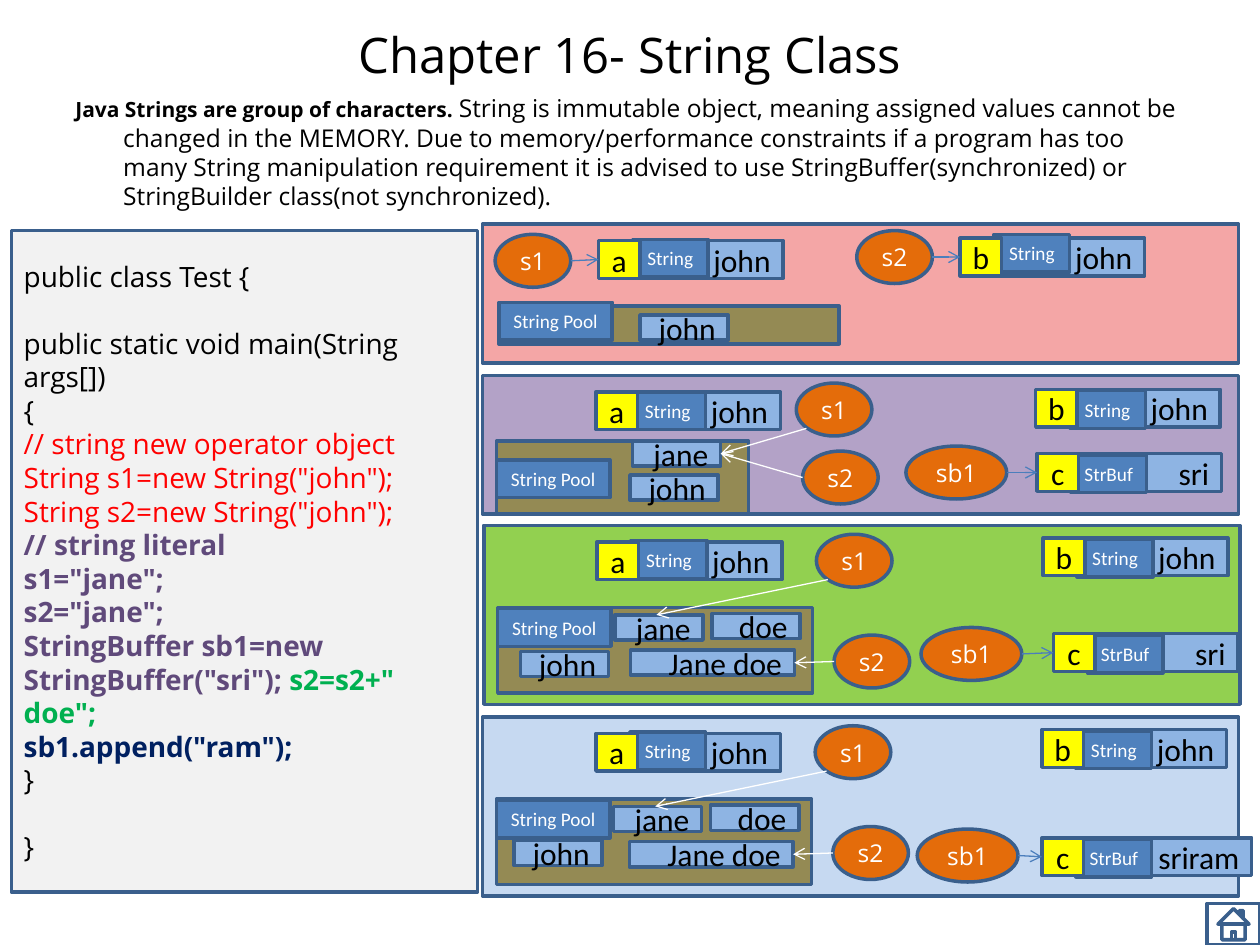
from lxml import etree
from pptx import Presentation
from pptx.dml.color import RGBColor
from pptx.enum.shapes import MSO_CONNECTOR, MSO_SHAPE
from pptx.enum.text import MSO_ANCHOR, PP_ALIGN
from pptx.oxml.ns import qn
from pptx.util import Inches, Pt

RECTANGLE, OVAL, HOME = MSO_SHAPE.RECTANGLE, MSO_SHAPE.OVAL, MSO_SHAPE.ACTION_BUTTON_HOME
STRAIGHT = MSO_CONNECTOR.STRAIGHT
LEFT, CENTER, RIGHT = PP_ALIGN.LEFT, PP_ALIGN.CENTER, PP_ALIGN.RIGHT
TOP, MIDDLE = MSO_ANCHOR.TOP, MSO_ANCHOR.MIDDLE

BLACK = RGBColor(0x00, 0x00, 0x00)
WHITE = RGBColor(0xFF, 0xFF, 0xFF)
OUTLINE = RGBColor(0x3A, 0x5F, 0x8C)
ARROW_BLUE = RGBColor(0x4B, 0x7E, 0xBC)
TYPE_BLUE = RGBColor(0x4F, 0x81, 0xBD)
VALUE_BLUE = RGBColor(0x8E, 0xB4, 0xE3)
YELLOW = RGBColor(0xFF, 0xFF, 0x00)
ORANGE = RGBColor(0xE4, 0x6C, 0x0A)
OLIVE = RGBColor(0x94, 0x8A, 0x54)
CODE_GRAY = RGBColor(0xF2, 0xF2, 0xF2)
PINK = RGBColor(0xF4, 0xA6, 0xA6)
LILAC = RGBColor(0xB3, 0xA2, 0xC7)
LIME = RGBColor(0x92, 0xD0, 0x50)
PALE_BLUE = RGBColor(0xC6, 0xD9, 0xF1)
RED = RGBColor(0xFF, 0x00, 0x00)
PURPLE = RGBColor(0x60, 0x4A, 0x7B)
GREEN = RGBColor(0x00, 0xB0, 0x50)
NAVY = RGBColor(0x00, 0x20, 0x60)

HEADING_FONT, LABEL_FONT = "Open Sans", "Calibri"
COLUMNS, ROWS = 100, 75


class MemoryDiagram:
    """Draws on one slide; lengths are columns and rows of a 100 x 75 grid."""

    def __init__(self, presentation):
        self.slide = presentation.slides.add_slide(presentation.slide_layouts[6])
        self.column = presentation.slide_width / COLUMNS
        self.row = presentation.slide_height / ROWS

    def place(self, *lengths):
        units = (self.column, self.row) * 2
        return [round(length * unit) for length, unit in zip(lengths, units)]

    def add_runs(self, paragraph, runs, font=HEADING_FONT):
        for text, size, color, bold in runs:
            run = paragraph.add_run()
            run.text = text
            run.font.name, run.font.size = font, Pt(size)
            run.font.color.rgb, run.font.bold = color, bold

    def text(self, left, top, width, height, runs, align=LEFT, anchor=TOP):
        box = self.slide.shapes.add_textbox(*self.place(left, top, width, height))
        box.text_frame.word_wrap = True
        box.text_frame.vertical_anchor = anchor
        paragraph = box.text_frame.paragraphs[0]
        paragraph.alignment = align
        self.add_runs(paragraph, runs)
        return paragraph

    def shape(self, left, top, width, height, fill=None, kind=RECTANGLE):
        shape = self.slide.shapes.add_shape(kind, *self.place(left, top, width, height))
        shape.shadow.inherit = False
        if fill is None:
            shape.fill.background()
        else:
            shape.fill.solid()
            shape.fill.fore_color.rgb = fill
        shape.line.color.rgb, shape.line.width = OUTLINE, Pt(2)
        return shape

    def label(self, shape, text, size, color=BLACK, align=CENTER, font=LABEL_FONT):
        shape.text_frame.vertical_anchor = MIDDLE
        paragraph = shape.text_frame.paragraphs[0]
        paragraph.alignment = align
        self.add_runs(paragraph, [(text, size, color, False)], font)

    def value(self, left, top, text, width=7, height=2):
        self.label(self.shape(left, top, width, height, VALUE_BLUE), text, 18, align=RIGHT)

    def tag(self, left, top, text, width=6):
        self.label(self.shape(left, top, width, 3, TYPE_BLUE), text, 11, WHITE)

    def variable(self, left, top, name, kind, text, shift=0.1, width=12):
        self.value(left + 2.65, top, text, width, 3)
        self.tag(left + 2.7, top + shift, kind)
        self.label(self.shape(left, top, 3.3, 3, YELLOW), name, 18)

    def reference(self, left, top, name, width=6):
        oval = self.shape(left, top, width, 4.2, ORANGE, OVAL)
        self.label(oval, name, 14, WHITE, font=HEADING_FONT)

    def pool(self, left, top, width, height, tag_shift):
        self.shape(left, top, width, height, OLIVE)
        self.tag(left, top + tag_shift, "String Pool", 9)

    def arrow(self, start, end, color=WHITE):
        line = self.slide.shapes.add_connector(STRAIGHT, *self.place(*start, *end))
        line.line.color.rgb, line.line.width = color, Pt(0.75)
        properties = line._element.spPr
        etree.SubElement(properties.find(qn("a:ln")), qn("a:tailEnd"), type="arrow")
        etree.SubElement(properties, qn("a:effectLst"))

    def code(self, left, top, width, height, lines):
        frame = self.shape(left, top, width, height, CODE_GRAY).text_frame
        frame.vertical_anchor = MIDDLE
        for index, (gap, *runs) in enumerate(lines):
            paragraph = frame.add_paragraph() if index else frame.paragraphs[0]
            paragraph.alignment, paragraph.space_before = LEFT, Pt(gap)
            self.add_runs(paragraph, [(text, 16, color, bold) for text, color, bold in runs])

    def joined_panel(self, left, top, fill, john, buffer, buffer_variable):
        """Memory after s2 has been joined with another word."""
        self.shape(left, top, 60, 14.2, fill)
        self.variable(left + 9, top + 1.3, "a", "String", "john", -0.1)
        self.variable(left + 44.4, top + 1, "b", "String", "john")
        self.pool(left + 1.1, top + 6.5, 25, 6.8, 0.1)
        self.value(left + 10.4, top + 7.1, "jane")
        self.reference(left + 26.4, top + 0.7, "s1")
        self.arrow((left + 27.3, top + 4.3), (left + 13.7, top + 7.1))
        self.value(left + 18.1, top + 7, "doe")
        self.value(left + 11.65, top + 9.9, "Jane doe", 13)
        self.reference(left + 27.8, top + 8.7, "s2")
        self.arrow((left + 27.8, top + 10.8), (left + 24.65, top + 10.9))
        self.buffer(buffer, buffer_variable)
        self.value(*john, "john")

    def buffer(self, oval, variable):
        (left, top), (box_left, box_top, text, width) = oval, variable
        self.reference(left, top, "sb1", 8)
        self.variable(box_left, box_top, "c", "StrBuf", text, width=width)
        self.arrow((left + 8, top + 2.1), (box_left, box_top + 1.5), ARROW_BLUE)


presentation = Presentation()
presentation.slide_width, presentation.slide_height = Inches(10), Inches(7.5)
diagram = MemoryDiagram(presentation)

# Title and introduction
diagram.text(5, 0.4, 90, 7.8, [("Chapter 16- String Class", 28, BLACK, False)], CENTER, MIDDLE)
introduction = diagram.text(5, 6.9, 90, 9.8, [
    ("Java Strings are group of characters. ", 12, BLACK, True),
    ("String is immutable object, meaning assigned values cannot be changed in the MEMORY. "
     "Due to memory/performance constraints if a program has too many String manipulation "
     "requirement it is advised to use StringBuffer(synchronized) or StringBuilder "
     "class(not synchronized).", 14, BLACK, False)])
indent = Inches(0.38)
introduction._p.get_or_add_pPr().set("marL", str(indent))
introduction._p.get_or_add_pPr().set("indent", str(-indent))

# Home button and code listing
diagram.shape(95.8, 71.7, 4.2, 3.3, kind=HOME)
LINE_GAP = 19.2
diagram.code(0.9, 18.3, 37, 52.5, [
    (0, ("public class Test {", BLACK, False)),
    (LINE_GAP, ("public static void main(String args[])", BLACK, False)),
    (0, ("{", BLACK, False)),
    (0, ("// string new operator object", RED, False)),
    (0, ('String s1=new String("john");', RED, False)),
    (0, ('String s2=new String("john");', RED, False)),
    (0, ("// string literal", PURPLE, True)),
    (0, ('s1="jane";', PURPLE, True)),
    (0, ('s2="jane";', PURPLE, True)),
    (0, ('StringBuffer sb1=new StringBuffer("sri"); ', PURPLE, True),
        ('s2=s2+" doe";', GREEN, True)),
    (0, ('sb1.append("ram");', NAVY, True)),
    (0, ("}", BLACK, False)),
    (LINE_GAP, ("}", BLACK, False)),
])

# Panel 1: two new objects
diagram.shape(38.3, 17.8, 60, 11, PINK)
for left, top, name, box_top, variable, shift in (
        (39.3, 18.6, "s1", 19.1, "a", -0.1), (68, 18.3, "s2", 18.9, "b", -0.3)):
    diagram.reference(left, top, name)
    diagram.variable(left + 8.2, box_top, variable, "String", "john", shift)
    diagram.arrow((left + 6, top + 2.1), (left + 8.2, box_top + 1.5), ARROW_BLUE)
diagram.pool(39.6, 24.3, 27, 3, -0.3)
diagram.value(50.8, 25, "john")

# Panel 2: string literals shared in the pool
diagram.shape(38.3, 29.8, 60, 11, LILAC)
diagram.variable(47.3, 31.1, "a", "String", "john", 0)
diagram.variable(82.2, 30.9, "b", "String", "john")
diagram.pool(39.4, 35, 20, 5.8, 1.5)
diagram.value(50.2, 35, "jane")
diagram.value(50, 37.7, "john")
diagram.reference(63.2, 30.4, "s1")
diagram.reference(63.7, 35.8, "s2")
for start in ((64, 34), (63.7, 37.9)):
    diagram.arrow(start, (57.2, 36))
diagram.buffer((71.9, 35.4), (82.3, 36, "sri", 12))

# Panels 3 and 4: joined string, then appended buffer
diagram.joined_panel(38.4, 41.7, LIME, (41.3, 51.7), (73.1, 49.8), (83.6, 50.3, "sri", 12))
diagram.joined_panel(38.3, 56.9, PALE_BLUE, (40.8, 66.7), (72.8, 65.8),
                     (82.7, 66.5, "sriram", 14))

presentation.save("out.pptx")
